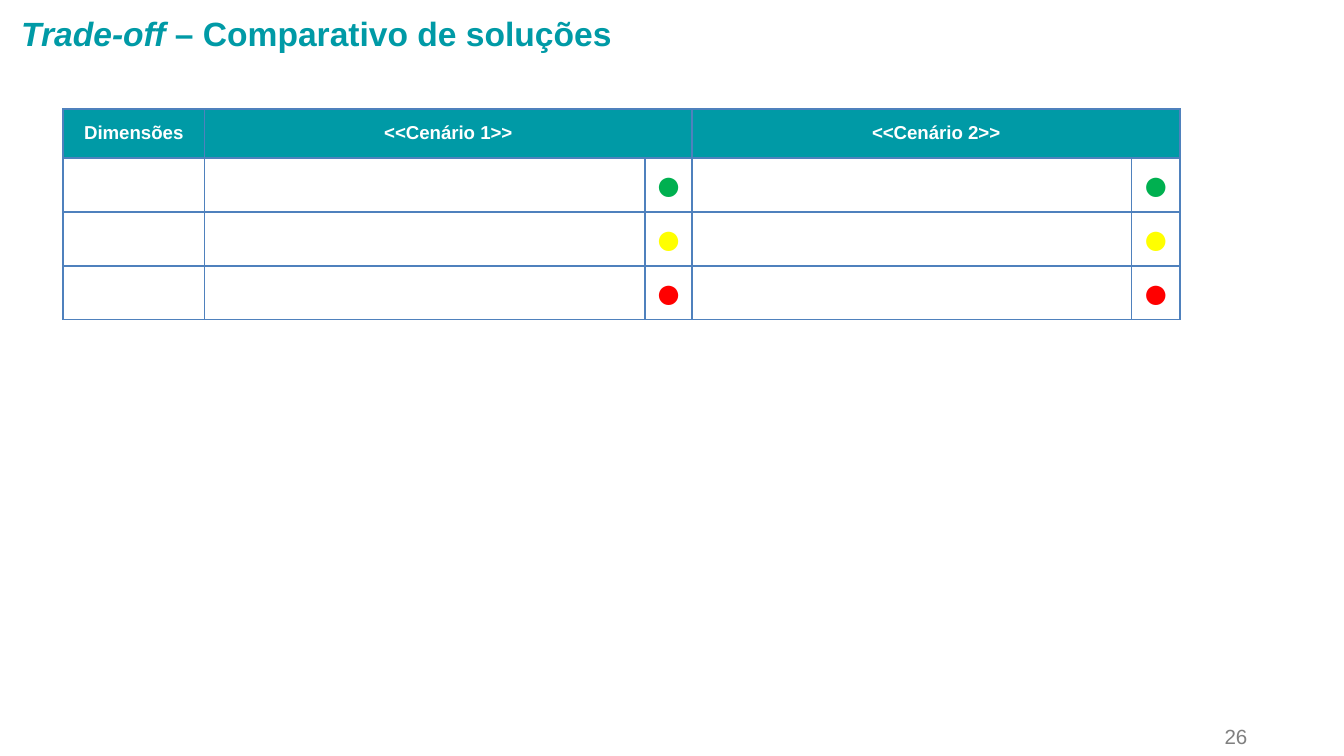
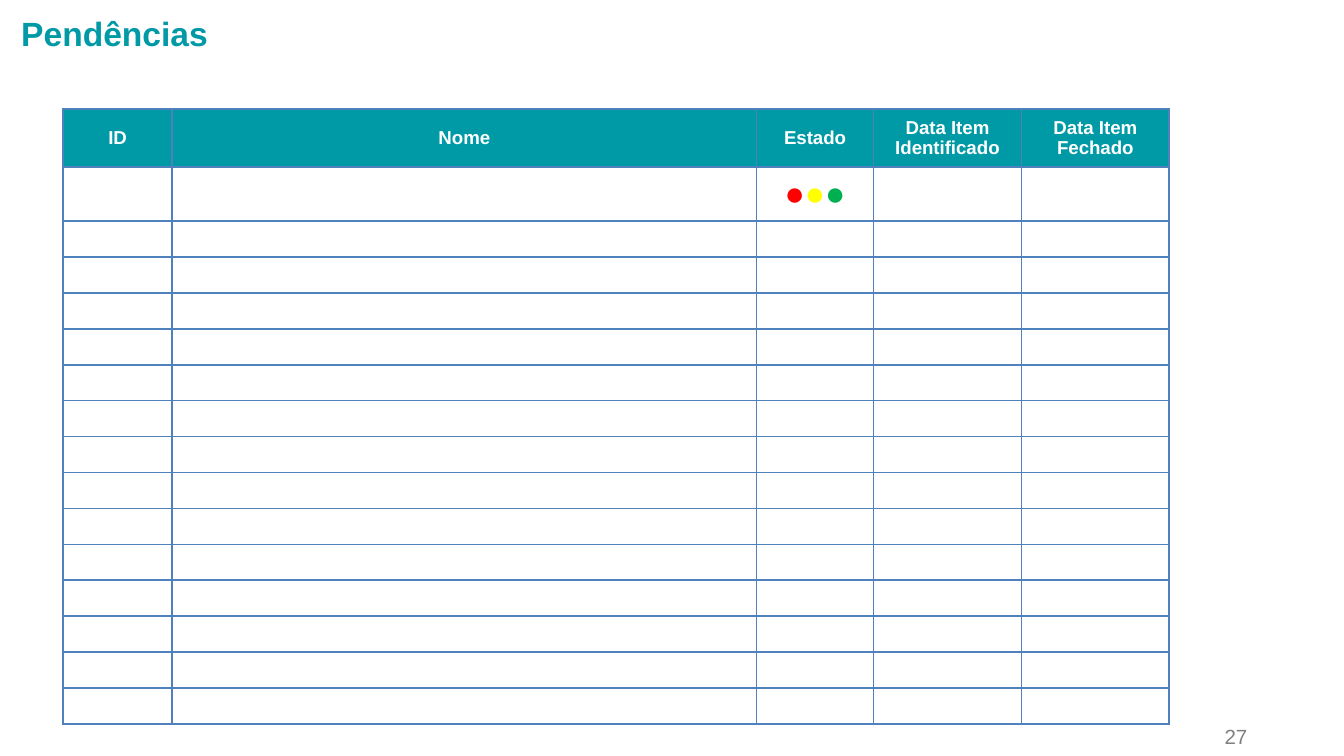
"""Builds the trade-off comparison slide and the pending items slide."""
import pptx
import pptx.dml.color
import pptx.enum.text
import pptx.oxml.ns
import pptx.util
import lxml.etree

Inches = pptx.util.Inches
Pt = pptx.util.Pt
RGBColor = pptx.dml.color.RGBColor
PP_ALIGN = pptx.enum.text.PP_ALIGN
MSO_ANCHOR = pptx.enum.text.MSO_ANCHOR
qn = pptx.oxml.ns.qn

TEAL = RGBColor(0x00, 0x9A, 0xA6)
WHITE = RGBColor(0xFF, 0xFF, 0xFF)
GRAY = RGBColor(0x80, 0x80, 0x80)
TOP_BORDER = RGBColor(0x4F, 0x81, 0xBD)
GREEN = RGBColor(0x00, 0xB0, 0x50)
YELLOW = RGBColor(0xFF, 0xFF, 0x00)
RED = RGBColor(0xFF, 0x00, 0x00)
FONT = "Arial"
DOT = "●"
LIGHT_GRID_STYLE = "{BC89EF96-8CEA-46FF-86C4-4CE0E7609802}"

TRADE_OFF_ROWS = [["Dimensões", "<<Cenário 1>>", "", "<<Cenário 2>>", ""]]
TRADE_OFF_ROWS += [["", "", [c], "", [c]] for c in (GREEN, YELLOW, RED)]
PENDING_ROWS = [["ID", "Nome", "Estado", "Data Item Identificado", "Data Item Fechado"]]
PENDING_ROWS += [["", "", [RED, YELLOW, GREEN], "", ""]]
PENDING_ROWS += [[""] * 5 for _ in range(14)]

SLIDES = [
    dict(title=[("Trade-off ", True), ("– Comparativo de soluções", False)], number="26",
         cols=[1.05, 3.28, 0.35, 3.27, 0.36], heights=[0.27, 0, 0, 0], height=1.56,
         rows=TRADE_OFF_ROWS, merges=[1, 3], header_inset=0.1, dot_inset=0, dot_size=24,
         top=TOP_BORDER, first_row=False),
    dict(title=[("Pendências", False)], number="27",
         cols=[0.81, 4.35, 0.87, 1.1, 1.1], heights=[0.15] * 16, height=4.57,
         rows=PENDING_ROWS, merges=[], header_inset=0.05, dot_inset=0.05, dot_size=18,
         top=None, first_row=True),
]


def add_run(p, text, size, color, bold=False, italic=False):
    r = p.add_run()
    r.text = text
    r.font.name = FONT
    r.font.size = Pt(size)
    r.font.bold = bold
    r.font.italic = italic
    r.font.color.rgb = color


def add_top_border(cell, color):
    ln = lxml.etree.SubElement(cell._tc.get_or_add_tcPr(), qn("a:lnT"), w=str(Pt(1)))
    fill = lxml.etree.SubElement(ln, qn("a:solidFill"))
    lxml.etree.SubElement(fill, qn("a:srgbClr"), val=str(color))


prs = pptx.Presentation()
prs.slide_width = Inches(10)
prs.slide_height = prs.slide_width * 9 // 16

for d in SLIDES:
    s = prs.slides.add_slide(prs.slide_layouts[6])

    tf = s.shapes.add_textbox(Inches(8.46), Inches(5.33), Inches(0.92), Inches(0.29)).text_frame
    tf.word_wrap = True
    tf.vertical_anchor = MSO_ANCHOR.BOTTOM
    p = tf.paragraphs[0]
    p.alignment = PP_ALIGN.RIGHT
    p.line_spacing = 0.8
    add_run(p, d["number"], 11, GRAY)

    cols, rows = d["cols"], d["rows"]
    sp = s.shapes.add_table(len(rows), len(cols), Inches(0.47), Inches(0.81),
                            Inches(sum(cols)), Inches(d["height"]))
    table = sp.table
    table._tbl.tblPr.find(qn("a:tableStyleId")).text = LIGHT_GRID_STYLE
    table.first_row = d["first_row"]
    table.horz_banding = False
    for col, width in zip(table.columns, cols):
        col.width = Inches(width)
    for row, height in zip(table.rows, d["heights"]):
        row.height = Inches(height)
    sp.height = Inches(d["height"])
    for c in d["merges"]:
        table.cell(0, c).merge(table.cell(0, c + 1))

    for i, row in enumerate(rows):
        for j, content in enumerate(row):
            cell = table.cell(i, j)
            cell.vertical_anchor = MSO_ANCHOR.MIDDLE
            if i == 0:
                if d["top"]:
                    add_top_border(cell, d["top"])
                cell.fill.solid()
                cell.fill.fore_color.rgb = TEAL
            else:
                cell.fill.background()
            p = cell.text_frame.paragraphs[0]
            p.alignment = PP_ALIGN.CENTER
            if not content:
                p._p.get_or_add_endParaRPr().set("sz", "1000")
                continue
            inset = Inches(d["dot_inset"] if i else d["header_inset"])
            cell.margin_top = cell.margin_bottom = inset
            if i == 0:
                add_run(p, content, 10, WHITE, bold=True)
            else:
                cell.margin_left = cell.margin_right = inset
                for color in content:
                    add_run(p, DOT, d["dot_size"], color)

    tf = s.shapes.add_textbox(Inches(0.06), Inches(0.05), Inches(8.8), Inches(0.4)).text_frame
    tf.word_wrap = True
    tf.auto_size = pptx.enum.text.MSO_AUTO_SIZE.SHAPE_TO_FIT_TEXT
    for text, italic in d["title"]:
        add_run(tf.paragraphs[0], text, 18, TEAL, bold=True, italic=italic)

prs.save("out.pptx")
